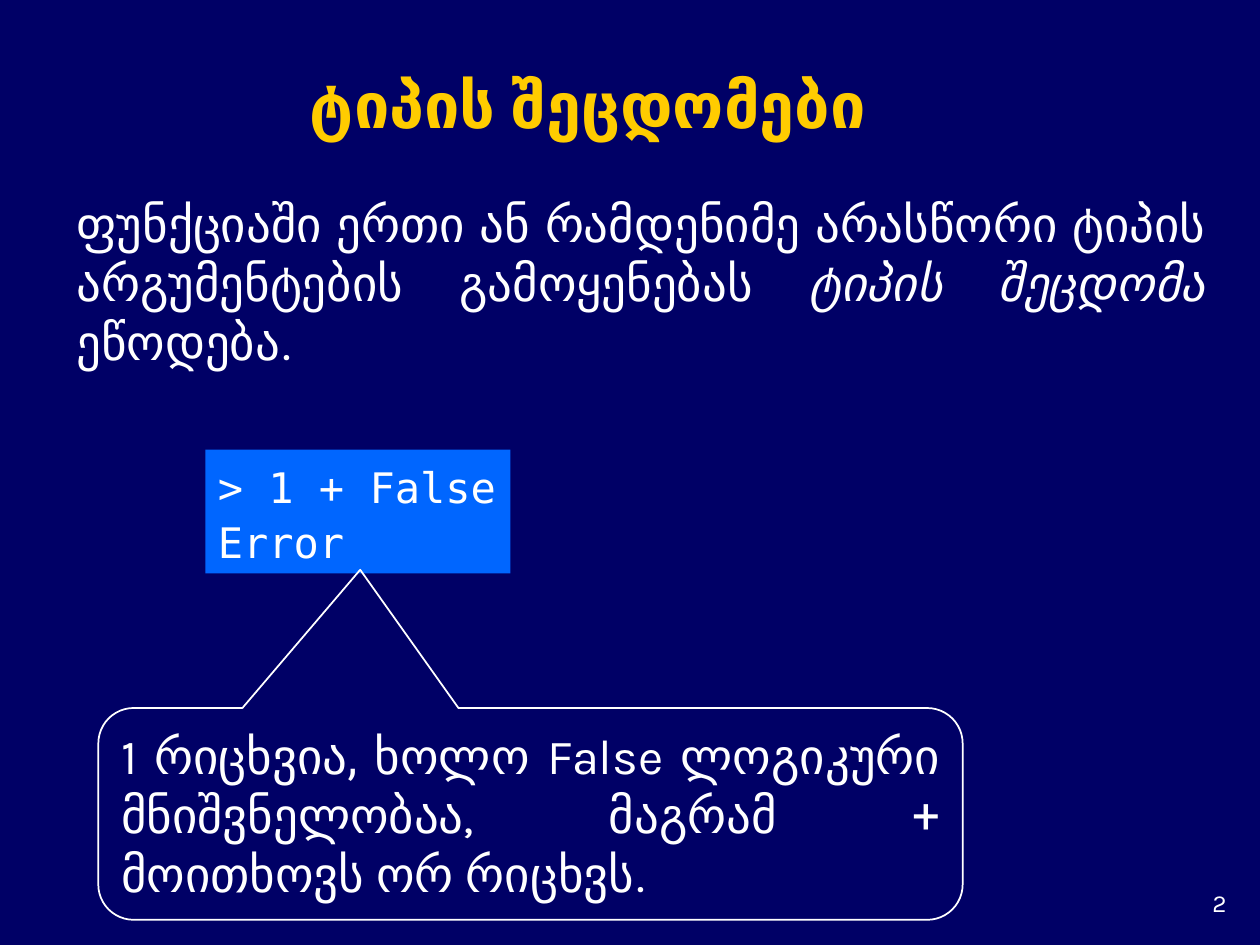
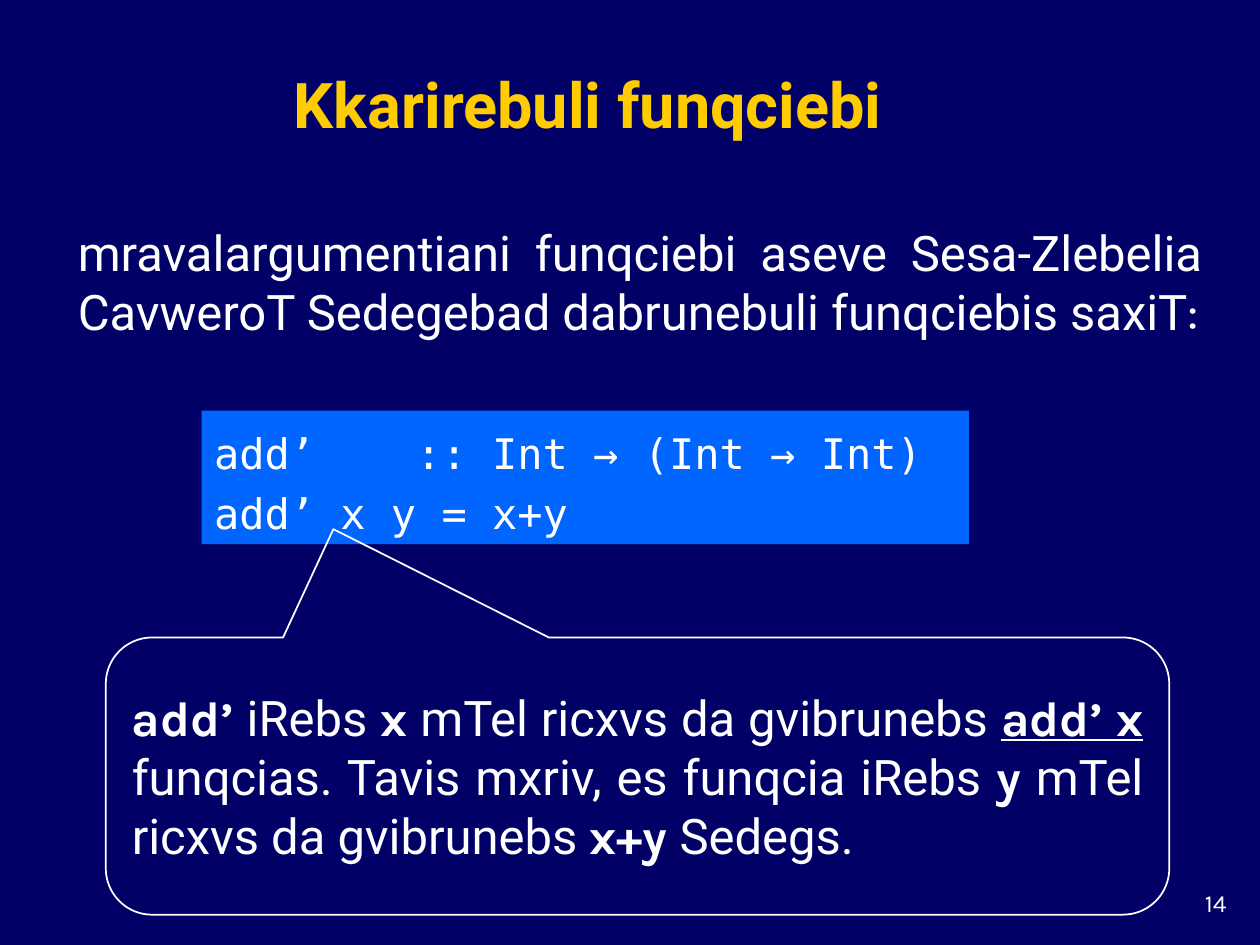
from dataclasses import dataclass

from pptx import Presentation
from pptx.dml.color import RGBColor
from pptx.enum.shapes import MSO_SHAPE as Preset
from pptx.enum.text import MSO_ANCHOR as Anchor, PP_ALIGN as Align
from pptx.slide import Slide
from pptx.text.text import TextFrame
from pptx.util import Pt

NAVY = RGBColor(0x00, 0x00, 0x66)
BLUE = RGBColor(0x00, 0x66, 0xFF)
GOLD = RGBColor(0xFF, 0xCC, 0x00)
WHITE = RGBColor(0xFF, 0xFF, 0xFF)

SANS = "Roboto"
LATIN = "Karla"
MONO = "DejaVu Sans Mono"


@dataclass(frozen=True)
class Box:
    left: float
    top: float
    width: float
    height: float

    def lengths(self) -> tuple[Pt, ...]:
        return tuple(Pt(v) for v in (self.left, self.top, self.width, self.height))


@dataclass(frozen=True)
class Span:
    text: str
    font: str = SANS
    bold: bool = False
    italic: bool = False
    underline: bool = False


@dataclass(frozen=True)
class TextStyle:
    size: float
    align: Align
    anchor: Anchor = Anchor.MIDDLE
    color: RGBColor = WHITE
    line_spacing: float = 1.0


@dataclass(frozen=True)
class CodeBox:
    box: Box
    lines: tuple[str, ...]
    line_spacing: float


@dataclass(frozen=True)
class Callout:
    box: Box
    tip: tuple[float, float]
    spans: tuple[Span, ...]


@dataclass(frozen=True)
class Lesson:
    number: int
    title: str
    statement_box: Box
    statement: tuple[Span, ...]
    code: CodeBox
    callout: Callout


TITLE_BOX = Box(30, 30, 612, 54)
NUMBER_BOX = Box(660, 504, 48, 24)
CORNER = 0.167

TITLE = TextStyle(36, Align.CENTER, Anchor.BOTTOM, GOLD)
NUMBER = TextStyle(14, Align.RIGHT, Anchor.TOP)
PROSE = TextStyle(28, Align.JUSTIFY)


def term(text: str, underline: bool = False) -> Span:
    """A program term set in bold within running prose."""
    return Span(text, LATIN, bold=True, underline=underline)


LESSONS = (
    Lesson(
        number=2,
        title="ტიპის შეცდომები",
        statement_box=Box(36.7, 106.6, 659.5, 108.7),
        statement=(
            Span("ფუნქციაში ერთი ან რამდენიმე არასწორი ტიპის არგუმენტების გამოყენებას "),
            Span("ტიპის შეცდომა", italic=True),
            Span(" ეწოდება."),
        ),
        code=CodeBox(Box(117.4, 257, 174.2, 70.6), ("> 1 + False", "Error"), 1.1),
        callout=Callout(
            Box(56.2, 404.6, 493.9, 121),
            (-0.197, -1.153),
            (
                Span("1 ", LATIN),
                Span("რიცხვია, ხოლო "),
                Span("False ლოგიკური მნიშვნელობაა, მაგრამ ", LATIN),
                Span("+ მოითხოვს ორ რიცხვს."),
            ),
        ),
    ),
    Lesson(
        number=14,
        title="Kkarirebuli funqciebi",
        statement_box=Box(37.4, 106.6, 656.6, 108.7),
        statement=(
            Span("mravalargumentiani funqciebi aseve Sesa-Zlebelia "
                 "CavweroT Sedegebad dabrunebuli funqciebis saxiT"),
            Span(":", LATIN),
        ),
        code=CodeBox(
            Box(115.2, 234.7, 438.5, 76.3),
            ("add’    :: Int → (Int → Int)", "add’ x y = x+y"),
            1.2,
        ),
        callout=Callout(
            Box(60.5, 364.3, 607.7, 158.4),
            (-0.286, -0.891),
            (
                term("add’"),
                Span(" iRebs "),
                term("x"),
                Span(" mTel ricxvs da gvibrunebs "),
                term("add’ x", underline=True),
                term(" "),
                Span("funqcias. Tavis mxriv, es funqcia iRebs "),
                term("y "),
                Span("mTel ricxvs da gvibrunebs "),
                term("x+y"),
                Span(" Sedegs."),
            ),
        ),
    ),
)


def write(frame: TextFrame, paragraphs: list[tuple[Span, ...]], style: TextStyle) -> None:
    frame.word_wrap = True
    frame.vertical_anchor = style.anchor
    for index, spans in enumerate(paragraphs):
        paragraph = frame.add_paragraph() if index else frame.paragraphs[0]
        paragraph.alignment = style.align
        paragraph.line_spacing = style.line_spacing
        for span in spans:
            run = paragraph.add_run()
            run.text = span.text
            font = run.font
            font.name, font.size = span.font, Pt(style.size)
            font.color.rgb = style.color
            font.bold, font.italic = span.bold, span.italic
            font.underline = span.underline


def add_text(slide: Slide, box: Box, spans: tuple[Span, ...], style: TextStyle) -> None:
    write(slide.shapes.add_textbox(*box.lengths()).text_frame, [spans], style)


def add_code(slide: Slide, code: CodeBox) -> None:
    panel = slide.shapes.add_shape(Preset.RECTANGLE, *code.box.lengths())
    panel.shadow.inherit = False
    panel.fill.solid()
    panel.fill.fore_color.rgb = BLUE
    panel.line.fill.background()
    style = TextStyle(24, Align.LEFT, line_spacing=code.line_spacing)
    write(panel.text_frame, [(Span(line, MONO),) for line in code.lines], style)


def add_callout(slide: Slide, callout: Callout) -> None:
    bubble = slide.shapes.add_shape(Preset.ROUNDED_RECTANGULAR_CALLOUT, *callout.box.lengths())
    for index, value in enumerate((*callout.tip, CORNER)):
        bubble.adjustments[index] = value
    bubble.shadow.inherit = False
    bubble.fill.background()
    bubble.line.color.rgb = WHITE
    bubble.line.width = Pt(1)
    write(bubble.text_frame, [callout.spans], PROSE)


def add_lesson(slide: Slide, lesson: Lesson) -> None:
    add_text(slide, NUMBER_BOX, (Span(str(lesson.number), LATIN),), NUMBER)
    add_text(slide, TITLE_BOX, (Span(lesson.title, bold=True),), TITLE)
    add_text(slide, lesson.statement_box, lesson.statement, PROSE)
    add_code(slide, lesson.code)
    add_callout(slide, lesson.callout)


def main() -> None:
    deck = Presentation()
    deck.slide_width, deck.slide_height = Pt(720), Pt(540)
    backdrop = deck.slide_master.background.fill
    backdrop.solid()
    backdrop.fore_color.rgb = NAVY
    blank = deck.slide_layouts[6]
    for lesson in LESSONS:
        add_lesson(deck.slides.add_slide(blank), lesson)
    deck.save("out.pptx")


if __name__ == "__main__":
    main()
